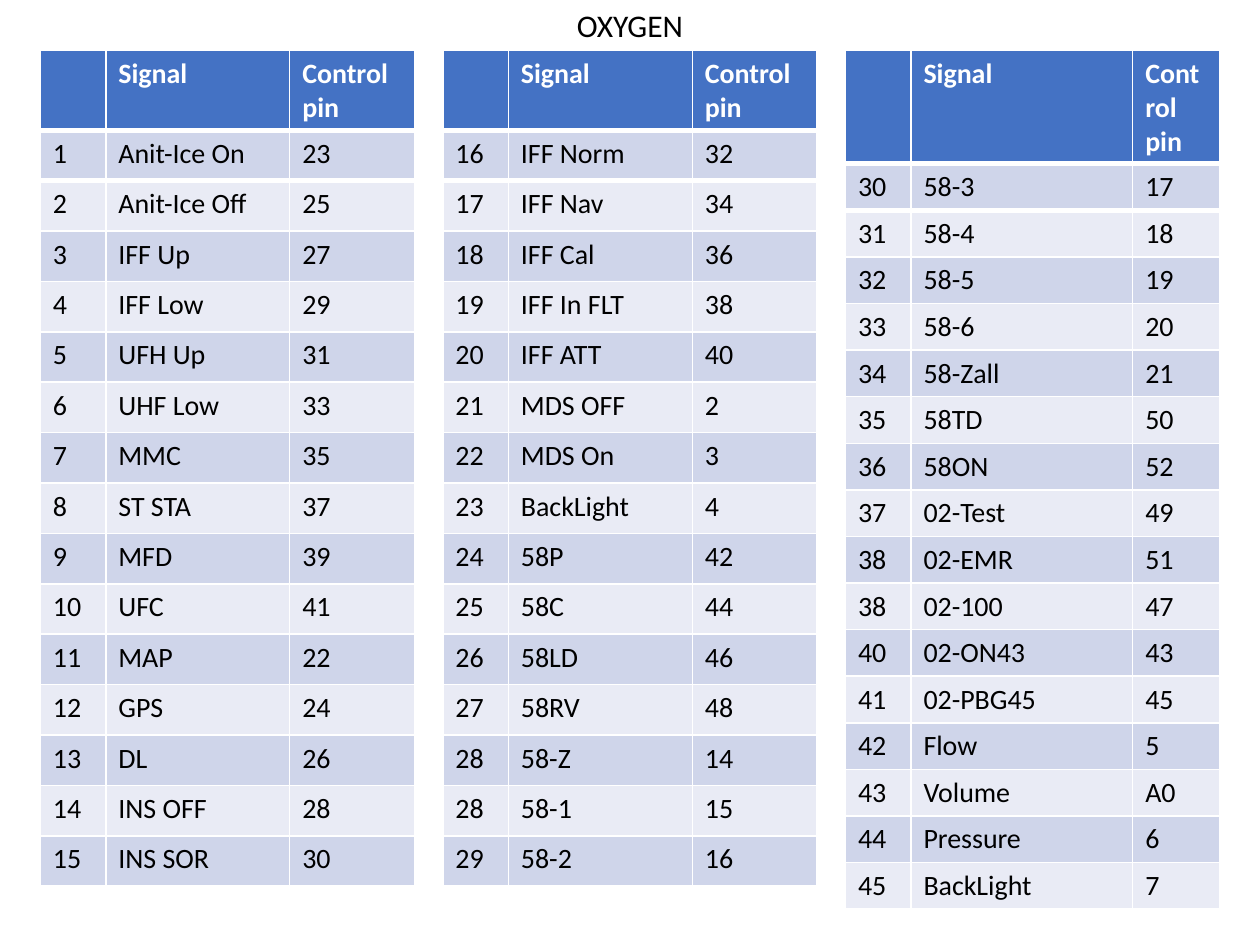
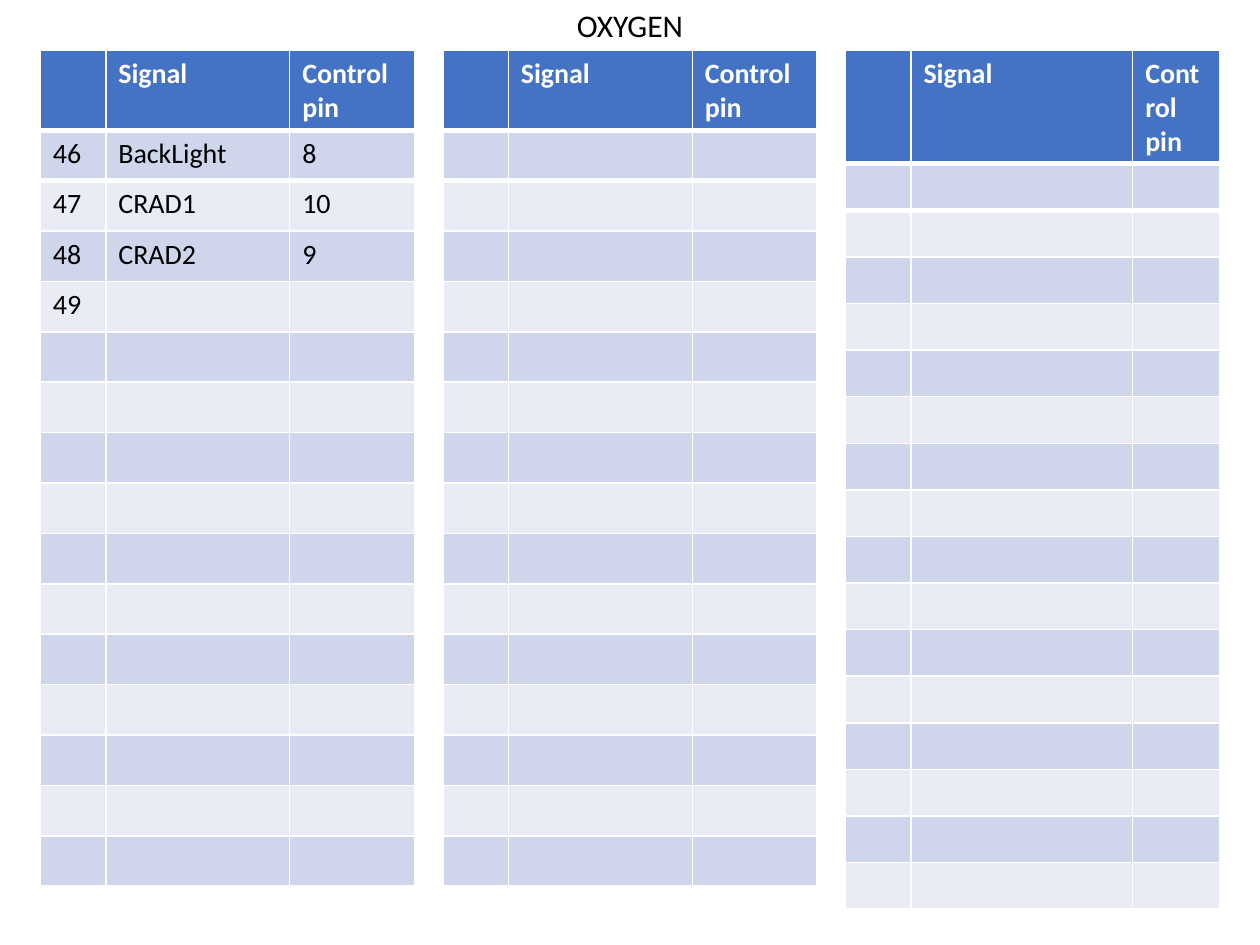
from dataclasses import dataclass

from lxml import etree
from pptx import Presentation
from pptx import util as u
from pptx.dml.color import RGBColor
from pptx.enum import text as t
from pptx.oxml.ns import qn


@dataclass(frozen=True)
class Theme:
    font: str = "Calibri"
    title_size: int = 18
    table_size: int = 16
    ink: str = "000000"
    header_ink: str = "FFFFFF"
    header_fill: str = "4472C4"
    bands: tuple[str, str] = ("CFD5EA", "E9EBF5")
    rule: str = "FFFFFF"
    header_rule_width: int = 3


@dataclass(frozen=True)
class Panel:
    columns: tuple[float, ...]
    header_height: float
    row_height: float
    row_count: int
    height: float


Row = tuple[str, str, str]

THEME = Theme()
SLIDE_WIDTH, SLIDE_HEIGHT = 10, 7.5
MARGIN, TABLE_TOP, TABLE_WIDTH = 0.32, 0.4, 2.97
TITLE_WIDTH = 1.05
STANDARD = Panel((0.52, 1.46, 0.99), 0.4, 0.4, 15, 6.64)
COMPACT = Panel((0.52, 1.76, 0.69), 0.62, 0.37, 16, 6.77)
PANELS = (STANDARD, STANDARD, COMPACT)
PITCH = (SLIDE_WIDTH - 2 * MARGIN - TABLE_WIDTH) / (len(PANELS) - 1)
HEADER: Row = ("", "Signal", "Control pin")

FIRST_SIGNALS: list[Row] = [
    ("1", "Anit-Ice On", "23"),
    ("2", "Anit-Ice Off", "25"),
    ("3", "IFF Up", "27"),
    ("4", "IFF Low", "29"),
    ("5", "UFH Up", "31"),
    ("6", "UHF Low", "33"),
    ("7", "MMC", "35"),
    ("8", "ST STA", "37"),
    ("9", "MFD", "39"),
    ("10", "UFC", "41"),
    ("11", "MAP", "22"),
    ("12", "GPS", "24"),
    ("13", "DL", "26"),
    ("14", "INS OFF", "28"),
    ("15", "INS SOR", "30"),
]
SECOND_SIGNALS: list[Row] = [
    ("16", "IFF Norm", "32"),
    ("17", "IFF Nav", "34"),
    ("18", "IFF Cal", "36"),
    ("19", "IFF In FLT", "38"),
    ("20", "IFF ATT", "40"),
    ("21", "MDS OFF", "2"),
    ("22", "MDS On", "3"),
    ("23", "BackLight", "4"),
    ("24", "58P", "42"),
    ("25", "58C", "44"),
    ("26", "58LD", "46"),
    ("27", "58RV", "48"),
    ("28", "58-Z", "14"),
    ("28", "58-1", "15"),
    ("29", "58-2", "16"),
]
THIRD_SIGNALS: list[Row] = [
    ("30", "58-3", "17"),
    ("31", "58-4", "18"),
    ("32", "58-5", "19"),
    ("33", "58-6", "20"),
    ("34", "58-Zall", "21"),
    ("35", "58TD", "50"),
    ("36", "58ON", "52"),
    ("37", "02-Test", "49"),
    ("38", "02-EMR", "51"),
    ("38", "02-100", "47"),
    ("40", "02-ON43", "43"),
    ("41", "02-PBG45", "45"),
    ("42", "Flow", "5"),
    ("43", "Volume", "A0"),
    ("44", "Pressure", "6"),
    ("45", "BackLight", "7"),
]
LAST_SIGNALS: list[Row] = [
    ("46", "BackLight", "8"),
    ("47", "CRAD1", "10"),
    ("48", "CRAD2", "9"),
    ("49", "", ""),
]
PAGES = [
    (FIRST_SIGNALS, SECOND_SIGNALS, THIRD_SIGNALS),
    (LAST_SIGNALS, [], []),
]


def write(frame, wording: str, *, size: int, color: str, bold: bool = False) -> None:
    paragraph = frame.paragraphs[0]
    if not wording:
        etree.SubElement(paragraph._p, qn("a:endParaRPr"), sz=str(size * 100))
        return
    run = paragraph.add_run()
    run.text = wording
    run.font.name = THEME.font
    run.font.size = u.Pt(size)
    run.font.bold = bold
    run.font.color.rgb = RGBColor.from_string(color)


def add_header_rule(cell, side: str) -> None:
    properties = cell._tc.get_or_add_tcPr()
    width = str(u.Pt(THEME.header_rule_width))
    line = etree.SubElement(properties, qn(f"a:{side}"), w=width)
    fill = etree.SubElement(line, qn("a:solidFill"))
    etree.SubElement(fill, qn("a:srgbClr"), val=THEME.rule)


def add_title(slide, wording: str) -> None:
    title = slide.shapes.title
    title.left = u.Inches((SLIDE_WIDTH - TITLE_WIDTH) / 2)
    title.top = 0
    title.width, title.height = u.Inches(TITLE_WIDTH), u.Inches(TABLE_TOP)
    frame = title.text_frame
    frame.word_wrap = False
    frame.auto_size = t.MSO_AUTO_SIZE.SHAPE_TO_FIT_TEXT
    frame.vertical_anchor = t.MSO_ANCHOR.TOP
    write(frame, wording, size=THEME.title_size, color=THEME.ink)


def add_pin_table(slide, position: int, panel: Panel, signals: list[Row]) -> None:
    blanks = [("", "", "")] * (panel.row_count - len(signals))
    rows = [HEADER, *signals, *blanks]
    holder = slide.shapes.add_table(
        len(rows), len(HEADER),
        u.Inches(MARGIN + position * PITCH), u.Inches(TABLE_TOP),
        u.Inches(TABLE_WIDTH), u.Inches(panel.height),
    )
    pins = holder.table
    for column, width in zip(pins.columns, panel.columns):
        column.width = u.Inches(width)
    for index, entries in enumerate(rows):
        is_header = index == 0
        pins.rows[index].height = u.Inches(
            panel.header_height if is_header else panel.row_height
        )
        fill = THEME.header_fill if is_header else THEME.bands[(index - 1) % 2]
        ink = THEME.header_ink if is_header else THEME.ink
        for cell, entry in zip(pins.rows[index].cells, entries):
            if index < 2:
                add_header_rule(cell, "lnB" if is_header else "lnT")
            cell.fill.solid()
            cell.fill.fore_color.rgb = RGBColor.from_string(fill)
            write(cell.text_frame, entry, size=THEME.table_size, color=ink, bold=is_header)
    holder.height = u.Inches(panel.height)


def main() -> None:
    deck = Presentation()
    deck.slide_width, deck.slide_height = u.Inches(SLIDE_WIDTH), u.Inches(SLIDE_HEIGHT)
    title_only = deck.slide_layouts[5]
    for page in PAGES:
        slide = deck.slides.add_slide(title_only)
        add_title(slide, "OXYGEN")
        for position, (panel, signals) in enumerate(zip(PANELS, page)):
            add_pin_table(slide, position, panel, signals)
    deck.save("out.pptx")


if __name__ == "__main__":
    main()
